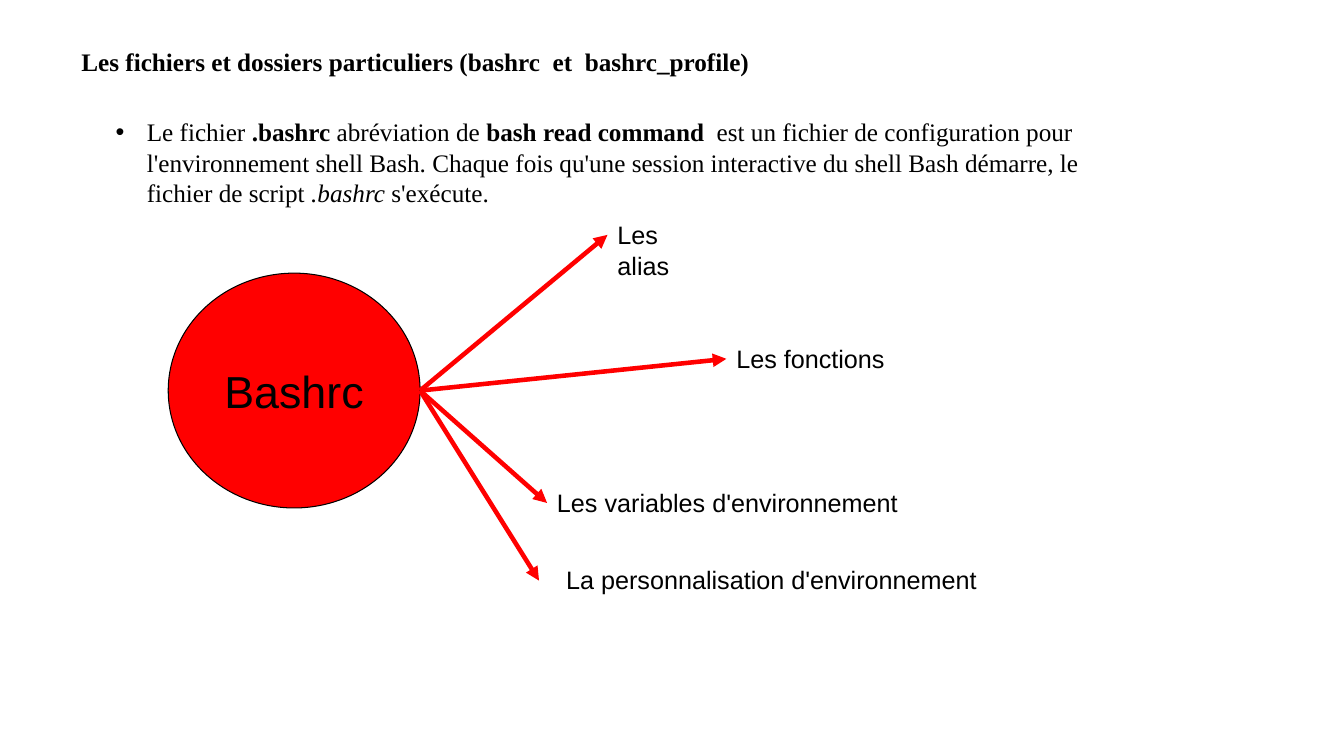
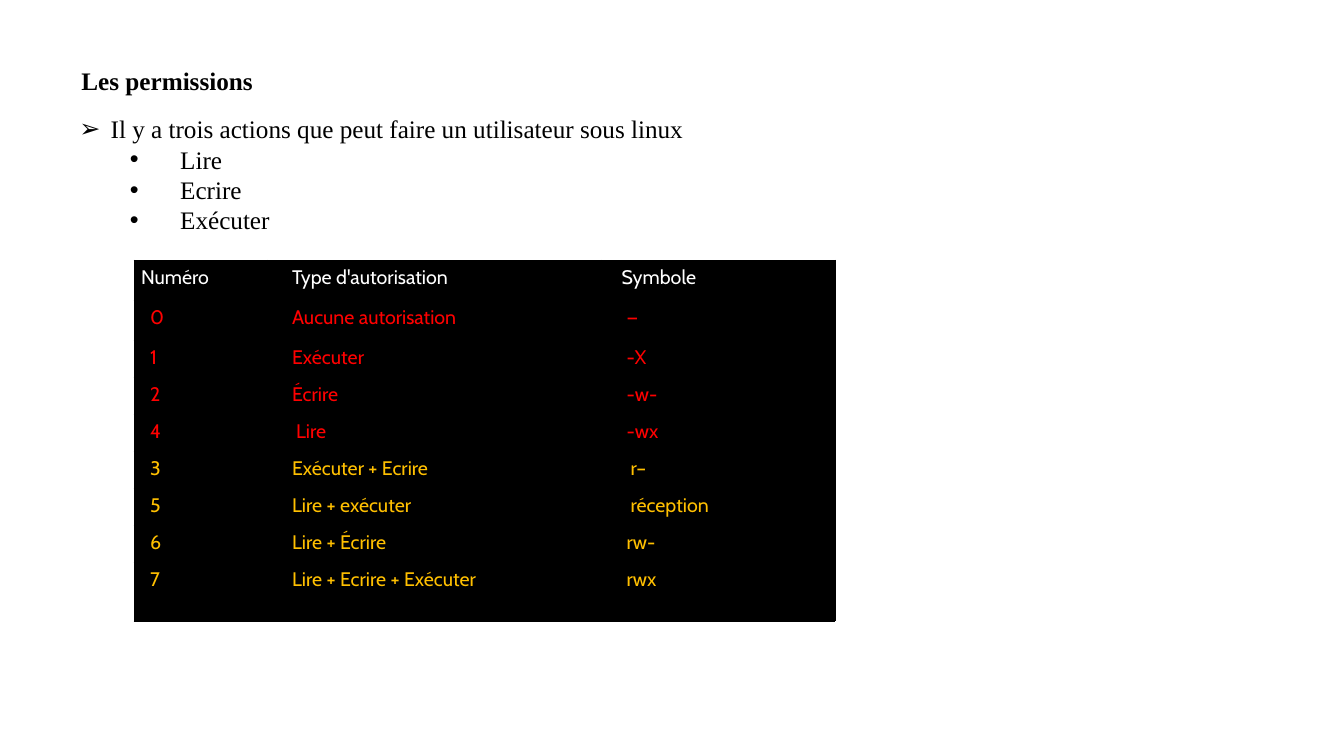
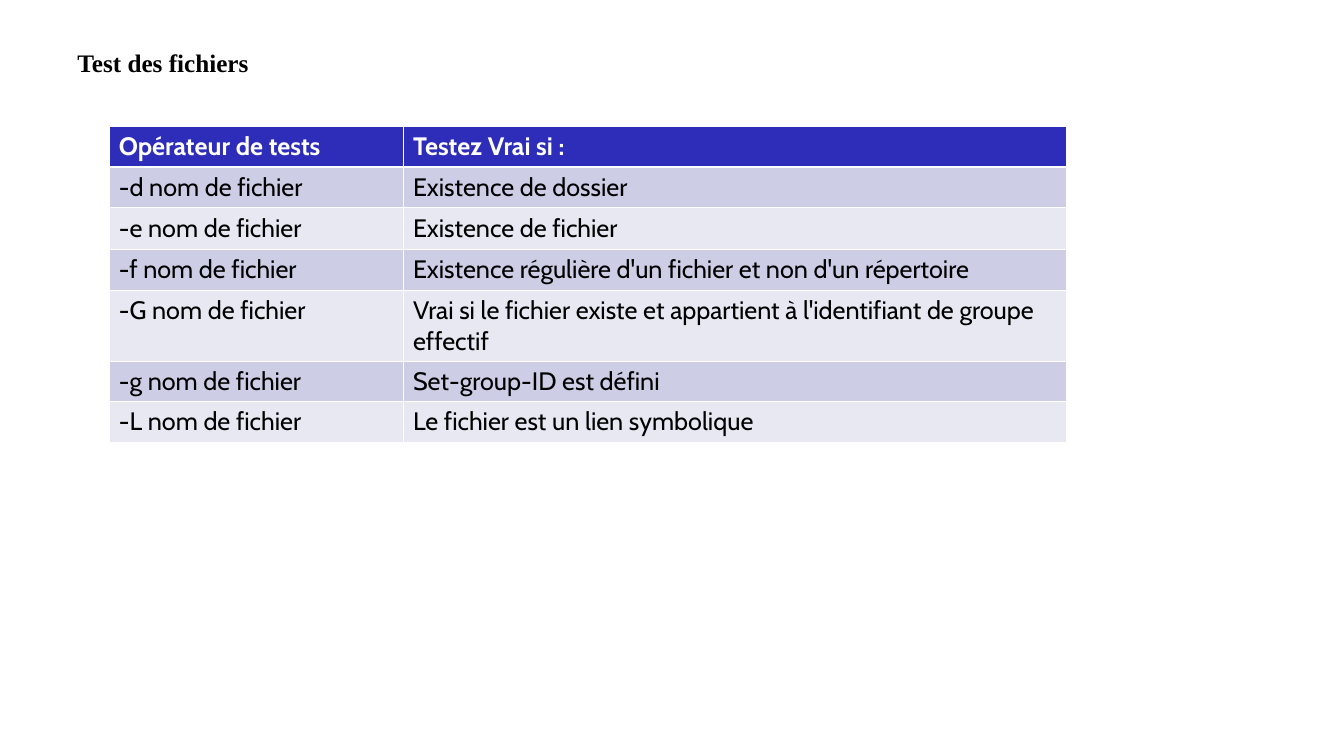
"""Build three slides on bashrc, file permissions and file tests."""
import lxml.etree
import pptx
import pptx.dml.color
import pptx.enum.shapes
import pptx.enum.text
import pptx.oxml.ns
import pptx.util

Inches = pptx.util.Inches
Pt = pptx.util.Pt
RGB = pptx.dml.color.RGBColor
qn = pptx.oxml.ns.qn

BLACK = RGB(0x00, 0x00, 0x00)
WHITE = RGB(0xFF, 0xFF, 0xFF)
RED = RGB(0xFF, 0x00, 0x00)
GOLD = RGB(0xFF, 0xC0, 0x00)
BLUE = RGB(0x2D, 0x2D, 0xB9)
BANDS = [RGB(0xCD, 0xCD, 0xE6), RGB(0xE8, 0xE8, 0xF3)]

SERIF = {"name": "Times New Roman", "size": Pt(18), "bold": False}
TITLE = {**SERIF, "bold": True}
LABEL = {"name": "Arial", "size": Pt(18)}
HUB = {"name": "Arial", "size": Pt(32)}
SMALL = {"name": "Cabin", "size": Pt(14), "bold": False}
LARGE = {"name": "Cabin", "size": Pt(18), "bold": False}
HEAD = {**LARGE, "bold": True}

INTRO = [
    ("Le fichier ", {}),
    (".bashrc ", {"bold": True}),
    ("abréviation de ", {}),
    ("bash read command", {"bold": True}),
    ("  est un fichier de configuration pour l'environnement shell Bash. "
     "Chaque fois qu'une session interactive du shell Bash démarre, "
     "le fichier de script ", {}),
    (".bashrc", {"italic": True}),
    (" s'exécute.", {}),
]
CIRCLE = (1.67, 2.71, 2.5, 2.33)
JOINED = [
    ("Les alias", 6.03, 2.13, 1.18),
    ("Les fonctions", 7.21, 3.36, 1.67),
    ("Les variables d'environnement", 5.43, 4.79, 3.58),
]
LOOSE = ("La personnalisation d'environnement", 5.52, 5.55, 4.28)
LOOSE_TIP = (5.35, 5.76)

ACTIONS = [
    ("➢", 0.31, -0.31, "Il y a trois actions que peut faire un utilisateur sous linux"),
    ("•", 1, -0.5, "Lire"),
    ("•", 1, -0.5, "Ecrire"),
    ("•", 1, -0.5, "Exécuter"),
]
RIGHTS = [
    ("Numéro", "Type d'autorisation", "Symbole"),
    ("0", "Aucune autorisation", "—"),
    ("1", "Exécuter", "-X"),
    ("2", "Écrire", "-w-"),
    ("4", "Lire", "-wx"),
    ("3", "Exécuter + Ecrire", "r–"),
    ("5", "Lire + exécuter", "réception"),
    ("6", "Lire + Écrire", "rw-"),
    ("7", "Lire + Ecrire + Exécuter", "rwx"),
]
TOP_PADS = (0.07, 0.25, 0.2)
ROW_PADS = (0.16, 0.25, 0.25)
DEEP = {"Lire", "r–", "réception"}
TESTS = [
    ("Opérateur de tests", "Testez Vrai si :"),
    ("-d nom de fichier", "Existence de dossier"),
    ("-e nom de fichier", "Existence de fichier"),
    ("-f nom de fichier", "Existence régulière d'un fichier et non d'un répertoire"),
    ("-G nom de fichier",
     "Vrai si le fichier existe et appartient à l'identifiant de groupe effectif"),
    ("-g nom de fichier", "Set-group-ID est défini"),
    ("-L nom de fichier", "Le fichier est un lien symbolique"),
]


def put(item, values):
    for name, value in values.items():
        setattr(item, name, value)


def write(para, text, look, color=BLACK):
    run = para.add_run()
    run.text = text
    put(run.font, look)
    run.font.color.rgb = color


def add_box(slide, x, y, w, h, wrap=True):
    box = slide.shapes.add_textbox(Inches(x), Inches(y), Inches(w), Inches(h))
    put(box.text_frame, {
        "word_wrap": wrap,
        "auto_size": pptx.enum.text.MSO_AUTO_SIZE.SHAPE_TO_FIT_TEXT,
    })
    return box


def add_title(deck, text, x, y, w):
    slide = deck.slides.add_slide(deck.slide_layouts[6])
    box = add_box(slide, x, y, w, 0.4)
    write(box.text_frame.paragraphs[0], text, TITLE)
    return slide


def add_bullet(para, mark, left, hang):
    props = para._p.get_or_add_pPr()
    props.set("marL", str(Inches(left)))
    props.set("indent", str(Inches(hang)))
    lxml.etree.SubElement(props, qn("a:buFont")).set("typeface", "Arial")
    lxml.etree.SubElement(props, qn("a:buChar")).set("char", mark)


def add_label(slide, text, x, y, w):
    box = add_box(slide, x, y, w, 0.4, wrap=False)
    write(box.text_frame.paragraphs[0], text, LABEL)
    return box


def add_arrow(slide, start, tip):
    ends = [Inches(value) for value in (*start, *tip)]
    arrow = slide.shapes.add_connector(
        pptx.enum.shapes.MSO_CONNECTOR.STRAIGHT, *ends)
    arrow.line.color.rgb = RED
    arrow.line.width = Pt(3.25)
    line = arrow.line._get_or_add_ln()
    lxml.etree.SubElement(line, qn("a:tailEnd")).set("type", "triangle")
    lxml.etree.SubElement(arrow.element.spPr, qn("a:effectLst"))
    return arrow


def add_grid(slide, x, y, cols, rows):
    table = slide.shapes.add_table(
        len(rows), len(cols), Inches(x), Inches(y),
        Inches(sum(cols)), Inches(sum(rows))).table
    put(table, {"first_row": False, "horz_banding": False})
    for col, width in zip(table.columns, cols):
        col.width = Inches(width)
    for row, height in zip(table.rows, rows):
        row.height = Inches(height)
    return table


def fill_cell(cell, text, look, color, fill, pads, edge, widths):
    put(cell, {"margin_left": Inches(pads[0]), "margin_right": Inches(pads[1])})
    write(cell.text_frame.paragraphs[0], text, look, color)
    props = cell._tc.get_or_add_tcPr()
    for side, width in zip("LRTB", widths):
        line = lxml.etree.SubElement(props, qn("a:ln" + side))
        line.set("w", str(Pt(width)))
        paint = lxml.etree.SubElement(line, qn("a:solidFill"))
        lxml.etree.SubElement(paint, qn("a:srgbClr")).set("val", str(edge))
    cell.fill.solid()
    cell.fill.fore_color.rgb = fill


def draw_bashrc(deck):
    slide = add_title(
        deck, "Les fichiers et dossiers particuliers (bashrc  et  bashrc_profile)",
        0.71, 0.41, 10.39)
    para = add_box(slide, 0.55, 1.11, 10.54, 1).text_frame.paragraphs[0]
    add_bullet(para, "•", 0.81, -0.31)
    for text, extra in INTRO:
        write(para, text, {**SERIF, **extra})

    hub = slide.shapes.add_shape(
        pptx.enum.shapes.MSO_SHAPE.OVAL, *[Inches(value) for value in CIRCLE])
    hub.shadow.inherit = False
    hub.fill.solid()
    hub.fill.fore_color.rgb = RED
    hub.line.color.rgb = BLACK
    hub.line.width = Pt(0.75)
    hub.text_frame.vertical_anchor = pptx.enum.text.MSO_ANCHOR.MIDDLE
    para = hub.text_frame.paragraphs[0]
    para.alignment = pptx.enum.text.PP_ALIGN.CENTER
    write(para, "Bashrc", HUB)

    x, y, w, h = CIRCLE
    start = (x + w, y + h / 2)
    for text, left, top, width in JOINED:
        label = add_label(slide, text, left, top, width)
        add_arrow(slide, start, (left, top + 0.2)).end_connect(label, 1)
    add_label(slide, *LOOSE)
    add_arrow(slide, start, LOOSE_TIP)


def draw_rights(deck):
    slide = add_title(deck, "Les permissions", 0.71, 0.6, 10.39)
    frame = add_box(slide, 0.69, 1.08, 12.28, 1.3).text_frame
    for i, (mark, left, hang, text) in enumerate(ACTIONS):
        para = frame.add_paragraph() if i else frame.paragraphs[0]
        add_bullet(para, mark, left, hang)
        write(para, text, SERIF)

    rows = [0.4, 0.4] + [2.2 / 6] * 6 + [0.58]
    table = add_grid(slide, 1.33, 2.58, (1.32, 3.32, 2.32), rows)
    for i, row in enumerate(RIGHTS):
        color = WHITE if i == 0 else RED if i < 5 else GOLD
        for j, text in enumerate(row):
            pad = (ROW_PADS if i else TOP_PADS)[j] + 0.04 * (text in DEEP)
            fill_cell(table.cell(i, j), text, SMALL, color, BLACK,
                      (pad, 0.07), BLACK, [0.45] * 4)


def draw_tests(deck):
    slide = add_title(deck, "Test des fichiers", 0.67, 0.42, 10.52)
    rows = [0.41, 0.4, 0.41, 0.41, 0.7, 0.4, 0.41]
    table = add_grid(slide, 1.08, 1.25, (2.92, 6.58), rows)
    for i, row in enumerate(TESTS):
        look, color, fill = (LARGE, BLACK, BANDS[(i - 1) % 2]) if i else (HEAD, WHITE, BLUE)
        above = 1.47 if i == 1 else 0.45
        below = 1.47 if i == 0 else 0.45
        for j, text in enumerate(row):
            fill_cell(table.cell(i, j), text, look, color, fill,
                      (0.1, 0.1), WHITE, (0.45, 0.45, above, below))


def main():
    deck = pptx.Presentation()
    put(deck, {"slide_width": Inches(13.34), "slide_height": Inches(7.5)})
    for draw in (draw_bashrc, draw_rights, draw_tests):
        draw(deck)
    deck.save("out.pptx")


if __name__ == "__main__":
    main()
